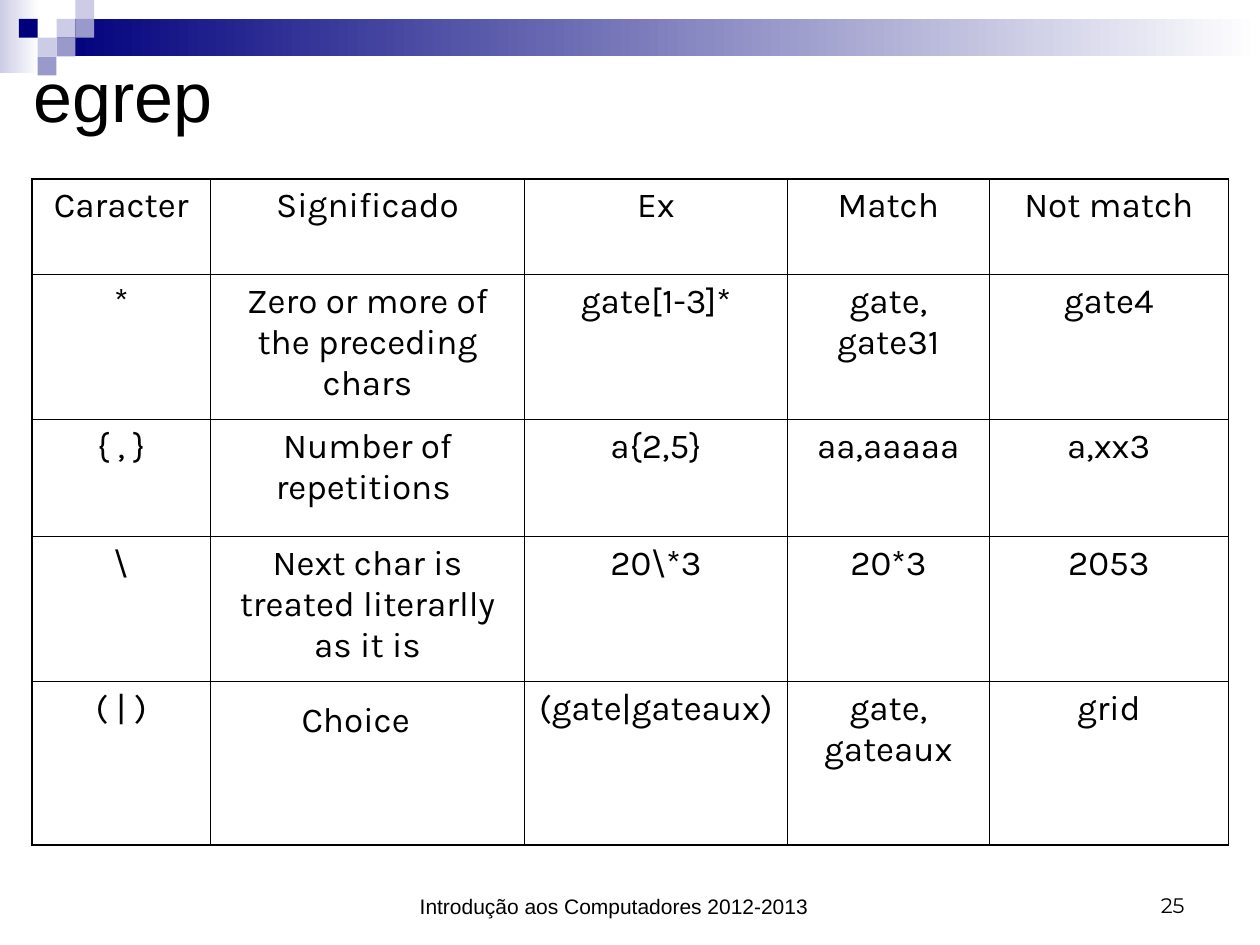
import pptx
import pptx.dml.color
import pptx.enum.shapes
import pptx.enum.text
import pptx.oxml
import pptx.oxml.ns
import pptx.util
from dataclasses import dataclass

Cm = pptx.util.Cm
Pt = pptx.util.Pt
Align = pptx.enum.text.PP_ALIGN
Anchor = pptx.enum.text.MSO_ANCHOR


@dataclass(frozen=True)
class Theme:
    ink: str = "000000"
    white: str = "FFFFFF"
    navy: str = "00007D"
    lilac: str = "9999CC"
    pale: str = "CCCCE6"
    title_font: str = "Arial"
    table_font: str = "Karla"
    number_font: str = "Montserrat"
    title_size: int = 40
    table_size: int = 20
    footer_size: int = 12
    outer_line: float = 1.08
    inner_line: float = 0.45


theme = Theme()

operators = [
    ("Caracter", "Significado", "Ex", "Match", "Not match"),
    ("*", "Zero or more of the preceding chars", "gate[1-3]*", "gate, gate31", "gate4"),
    ("{ , }", "Number of repetitions ", "a{2,5}", "aa,aaaaa", "a,xx3"),
    ("\\", "Next char is treated literarlly as it is", "20\\*3", "20*3", "2053"),
    ("( | )", "Choice", "(gate|gateaux)", "gate, gateaux", "grid"),
]
column_widths = [3.61, 6.32, 5.31, 4.06, 4.83]
row_heights = [1.93, 2.92, 2.36, 2.92, 3.3]
table_left, table_top = 0.64, 3.61
side_inset, top_inset = 0.25, 0.13
cell_insets = {"Choice": (0.73, 0.38)}

square = 0.38
fades = [
    (0, 0, 0.79, 1.47, theme.pale),
    (3 * square, square, 25.4 - 3 * square, 0.76, theme.navy),
]
mosaic = [
    (3, 1, theme.pale),
    (4, 0, theme.pale),
    (4, 1, theme.lilac),
    (2, 2, theme.pale),
    (1, 1, theme.navy),
    (3, 2, theme.lilac),
    (2, 3, theme.lilac),
]
captions = [
    ("egrep", (0.43, 0, 23.7, 3.81), Anchor.MIDDLE, Align.LEFT,
     theme.title_font, theme.title_size),
    ("25", (18.21, 17.35, 5.92, 1.27), Anchor.BOTTOM, Align.RIGHT,
     theme.number_font, theme.footer_size),
    ("Introdução aos Computadores 2012-2013", (5.08, 17.58, 14.6, 1.07),
     Anchor.BOTTOM, Align.CENTER, theme.title_font, theme.footer_size),
]


def rgb(colour):
    return pptx.dml.color.RGBColor.from_string(colour)


def add_block(slide, left, top, width, height):
    block = slide.shapes.add_shape(
        pptx.enum.shapes.MSO_SHAPE.RECTANGLE, Cm(left), Cm(top), Cm(width), Cm(height))
    block.shadow.inherit = False
    block.line.fill.background()
    return block


def write(frame, wording, align, font, size):
    frame.word_wrap = True
    paragraph = frame.paragraphs[0]
    paragraph.alignment = align
    run = paragraph.add_run()
    run.text = wording
    run.font.name = font
    run.font.size = Pt(size)
    run.font.color.rgb = rgb(theme.ink)


def add_border(cell, side, width):
    cell._tc.get_or_add_tcPr().append(pptx.oxml.parse_xml(
        f'<a:ln{side} {pptx.oxml.ns.nsdecls("a")} w="{Pt(width)}">'
        f'<a:solidFill><a:srgbClr val="{theme.ink}"/></a:solidFill></a:ln{side}>'))


def add_decoration(slide):
    for left, top, width, height, colour in fades:
        fade = add_block(slide, left, top, width, height).fill
        fade.gradient()
        fade.gradient_angle = 0
        for stop, stop_colour in zip(fade.gradient_stops, (colour, theme.white)):
            stop.color.rgb = rgb(stop_colour)
    for column, row, colour in mosaic:
        tile = add_block(slide, column * square, row * square, square, square)
        tile.fill.solid()
        tile.fill.fore_color.rgb = rgb(colour)


def add_captions(slide):
    for wording, place, anchor, align, font, size in captions:
        frame = slide.shapes.add_textbox(*map(Cm, place)).text_frame
        frame.vertical_anchor = anchor
        write(frame, wording, align, font, size)


def add_operators(slide):
    table = slide.shapes.add_table(
        len(operators), len(column_widths), Cm(table_left), Cm(table_top),
        Cm(sum(column_widths)), Cm(sum(row_heights))).table
    table.first_row = False
    table.horz_banding = False
    for column, width in zip(table.columns, column_widths):
        column.width = Cm(width)
    for row, height in zip(table.rows, row_heights):
        row.height = Cm(height)
    last_row, last_column = len(operators) - 1, len(column_widths) - 1
    for r, entries in enumerate(operators):
        for c, wording in enumerate(entries):
            cell = table.cell(r, c)
            right, top = cell_insets.get(wording, (side_inset, top_inset))
            cell.margin_left, cell.margin_right = Cm(side_inset), Cm(right)
            cell.margin_top, cell.margin_bottom = Cm(top), Cm(top_inset)
            cell.vertical_anchor = Anchor.TOP
            write(cell.text_frame, wording, Align.CENTER,
                  theme.table_font, theme.table_size)
            outer_sides = {"L": c == 0, "R": c == last_column,
                           "T": r == 0, "B": r == last_row}
            for side, is_outer in outer_sides.items():
                add_border(cell, side, theme.outer_line if is_outer else theme.inner_line)
            cell.fill.background()


def main():
    deck = pptx.Presentation()
    deck.slide_width, deck.slide_height = Cm(25.4), Cm(19.05)
    slide = deck.slides.add_slide(deck.slide_layouts[6])
    add_decoration(slide)
    add_captions(slide)
    add_operators(slide)
    deck.save("out.pptx")


if __name__ == "__main__":
    main()
